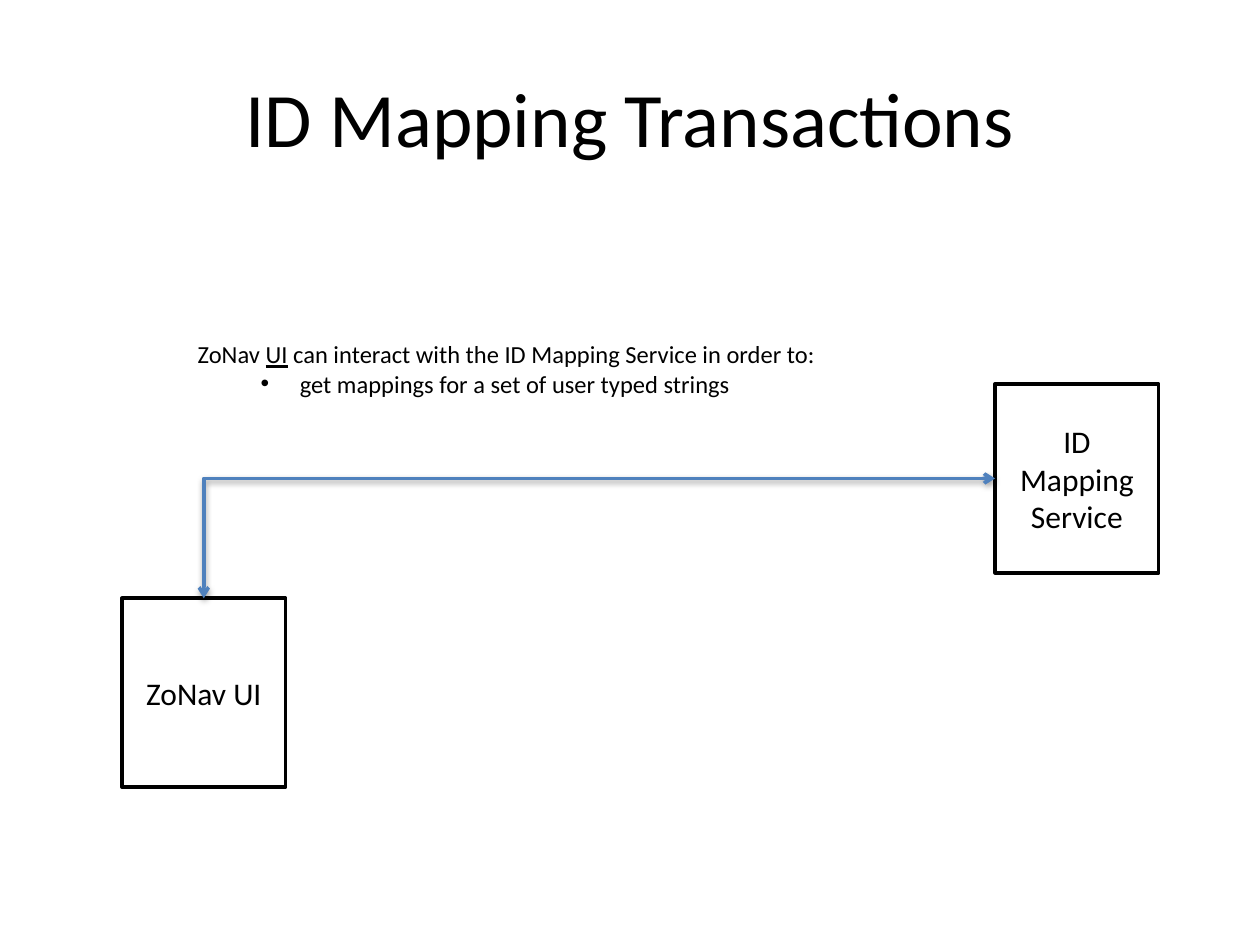
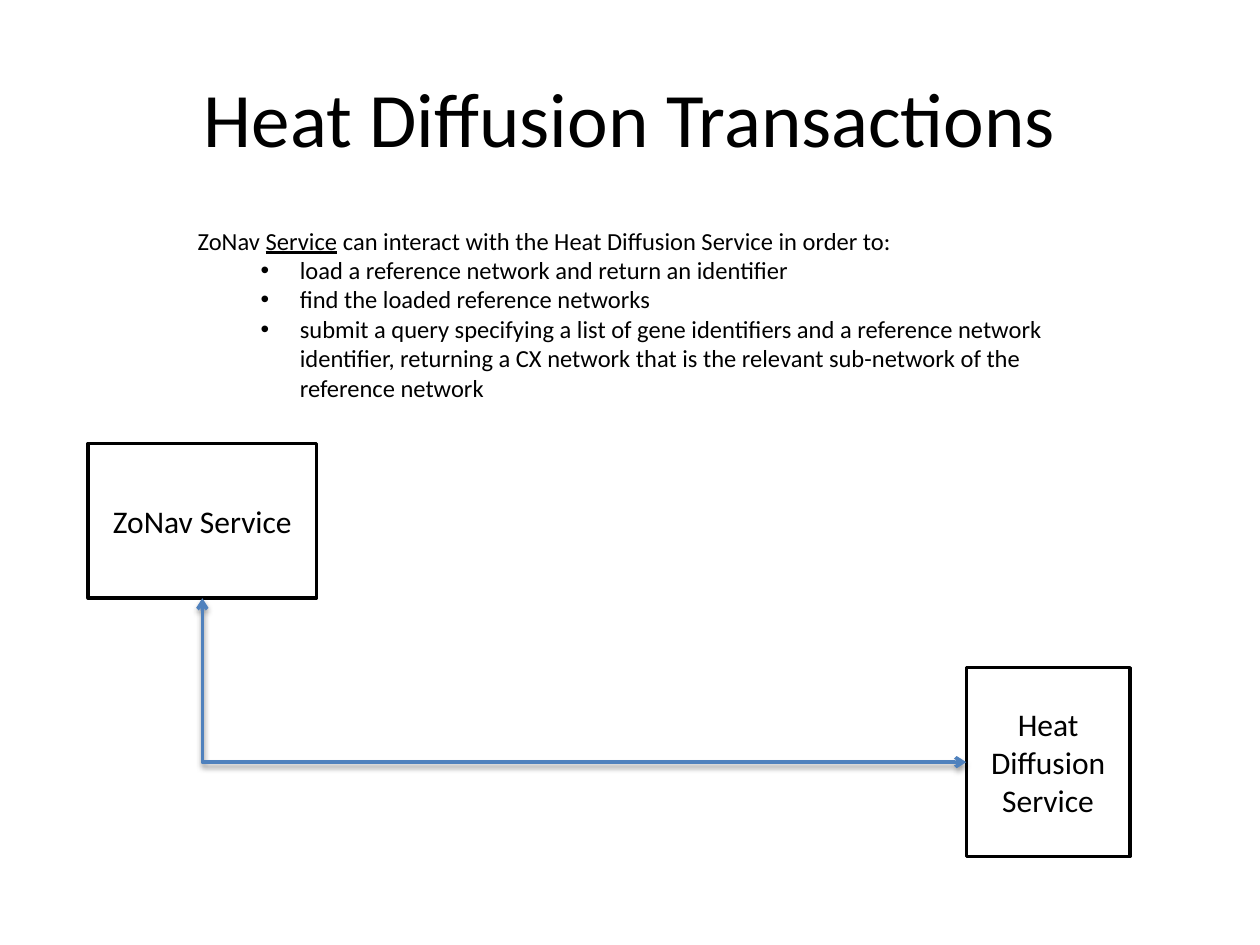
from lxml import etree
from pptx import Presentation
from pptx import util as u
from pptx.dml import color
from pptx.enum import shapes, text
from pptx.oxml import ns

BLACK, WHITE, BLUE = "000000", "FFFFFF", "4F81BD"
FONT = "Calibri"
TOP, LEFT, BOTTOM = 0, 1, 2

SLIDES = [
    {
        "title": "ID Mapping Transactions",
        "lead": ("ZoNav ", "UI", " can interact with the ID Mapping Service in order to:"),
        "actions": ["get mappings for a set of user typed strings"],
        "list_at": (3.73, 6.71, 13.08, 1.45),
        "wrap": False,
        "client": (["ZoNav UI"], (2.46, 12.06, 3.3, 3.81)),
        "service": (["ID Mapping", "Service"], (20.06, 7.74, 3.3, 3.81)),
        "client_side": TOP,
    },
    {
        "title": "Heat Diffusion Transactions",
        "lead": ("ZoNav ", "Service",
                 " can interact with the Heat Diffusion Service in order to:"),
        "actions": [
            "load a reference network and return an identifier",
            "find the loaded reference networks",
            "submit a query specifying a list of gene identifiers and a reference network "
            "identifier, returning a CX network that is the relevant sub-network of the "
            "reference network",
        ],
        "list_at": (3.73, 4.42, 18.62, 3.84),
        "wrap": True,
        "client": (["ZoNav Service"], (1.78, 8.94, 4.6, 3.12)),
        "service": (["Heat Diffusion Service"], (19.48, 13.46, 3.3, 3.81)),
        "client_side": BOTTOM,
    },
]


def rgb(value):
    return color.RGBColor.from_string(value)


def place(shape, at):
    shape.left, shape.top, shape.width, shape.height = map(u.Cm, at)


def write(para, *words, size, align=text.PP_ALIGN.CENTER, underlined=None):
    para.alignment = align
    para.space_before = u.Pt(0)
    for word in words:
        span = para.add_run()
        span.text = word
        span.font.name = FONT
        span.font.size = u.Pt(size)
        span.font.color.rgb = rgb(BLACK)
        if word == underlined:
            span.font.underline = True


def set_bullet(para, bullet=None):
    props = para._p.get_or_add_pPr()
    props.set("marL", str(u.Cm(2.06) if bullet else 0))
    props.set("indent", str(u.Cm(-0.79) if bullet else 0))
    if bullet:
        font = etree.SubElement(props, ns.qn("a:buFont"))
        font.set("typeface", "Arial")
        etree.SubElement(props, ns.qn("a:buChar")).set("char", bullet)
    else:
        etree.SubElement(props, ns.qn("a:buNone"))


def add_list(box, content):
    place(box, content["list_at"])
    frame = box.text_frame
    frame.word_wrap = content["wrap"]
    frame.auto_size = text.MSO_AUTO_SIZE.SHAPE_TO_FIT_TEXT
    style = {"size": 14, "align": text.PP_ALIGN.LEFT}
    lead = content["lead"]
    para = frame.paragraphs[0]
    write(para, *lead, underlined=lead[1], **style)
    set_bullet(para)
    for action in content["actions"]:
        para = frame.add_paragraph()
        para.level = 1
        write(para, action, **style)
        set_bullet(para, "•")


def add_node(page, lines, at):
    node = page.shapes.add_shape(shapes.MSO_SHAPE.RECTANGLE, *map(u.Cm, at))
    node.shadow.inherit = False
    node.fill.solid()
    node.fill.fore_color.rgb = rgb(WHITE)
    node.line.color.rgb = rgb(BLACK)
    node.line.width = u.Pt(2)
    frame = node.text_frame
    frame.vertical_anchor = text.MSO_ANCHOR.MIDDLE
    for number, line in enumerate(lines):
        para = frame.add_paragraph() if number else frame.paragraphs[0]
        write(para, line, size=18)
    return node


def add_link(page, service, client, client_side):
    link = page.shapes.add_connector(shapes.MSO_CONNECTOR.ELBOW, 0, 0, 0, 0)
    link.begin_connect(service, LEFT)
    link.end_connect(client, client_side)
    link.line.color.rgb = rgb(BLUE)
    link.line.width = u.Pt(2)
    props = link._element.spPr
    props.find(ns.qn("a:prstGeom")).set("prst", "bentConnector2")
    outline = props.find(ns.qn("a:ln"))
    for end in ("a:headEnd", "a:tailEnd"):
        etree.SubElement(outline, ns.qn(end)).set("type", "arrow")
    effects = etree.SubElement(props, ns.qn("a:effectLst"))
    shadow = etree.SubElement(effects, ns.qn("a:outerShdw"), blurRad=str(u.Pt(3.1)),
                              dist=str(u.Pt(1.6)), dir="5400000", rotWithShape="0")
    shade = etree.SubElement(shadow, ns.qn("a:srgbClr"), val=BLACK)
    etree.SubElement(shade, ns.qn("a:alpha"), val="38000")


def add_page(deck, content):
    page = deck.slides.add_slide(deck.slide_layouts[1])
    title, body = page.placeholders
    place(title, (1.27, 0.76, 22.86, 3.18))
    title.text_frame.vertical_anchor = text.MSO_ANCHOR.MIDDLE
    write(title.text_frame.paragraphs[0], content["title"], size=44)
    add_list(body, content)
    client = add_node(page, *content["client"])
    service = add_node(page, *content["service"])
    add_link(page, service, client, content["client_side"])


deck = Presentation()
deck.slide_width, deck.slide_height = u.Cm(25.4), u.Cm(19.05)
for content in SLIDES:
    add_page(deck, content)
deck.save("out.pptx")
